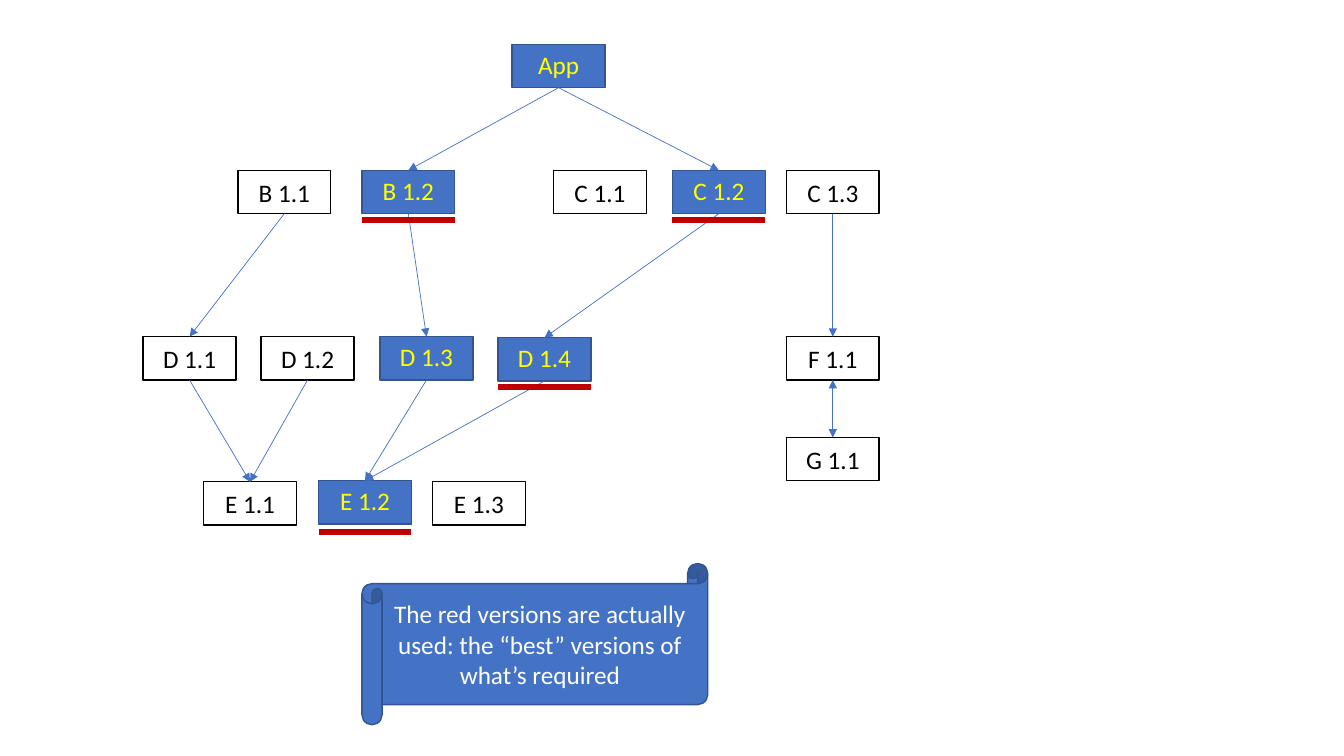
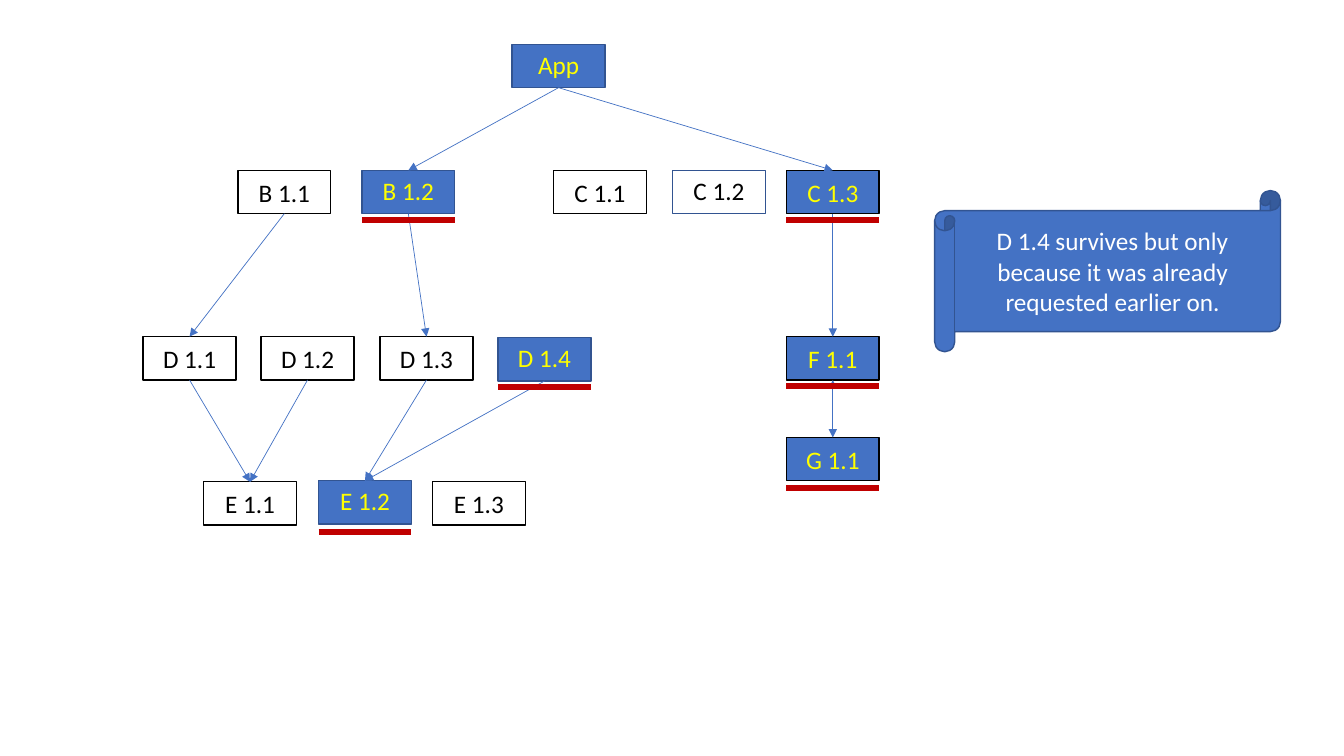
import pptx
import pptx.dml.color
import pptx.enum.shapes
import pptx.enum.text
import pptx.oxml
import pptx.util

Inches = pptx.util.Inches
Shapes = pptx.enum.shapes.MSO_SHAPE
Anchor = pptx.enum.text.MSO_ANCHOR

BLUE, EDGE, RED = "4472C4", "325491", "C00000"
WHITE, BLACK, YELLOW = "FFFFFF", "000000", "FFFF00"
BOX_WIDTH, BOX_HEIGHT = 0.92, 0.43
SCROLL_WIDTH, SCROLL_HEIGHT = 3.43, 1.6
TOP_SITE, BOTTOM_SITE = 0, 2

STYLES = {
    "plain": {"fill": WHITE, "line": BLACK, "ink": BLACK, "anchor": Anchor.MIDDLE},
    "used": {"fill": BLUE, "line": EDGE, "ink": YELLOW, "anchor": Anchor.TOP},
    "upgraded": {"fill": BLUE, "line": BLACK, "ink": YELLOW, "anchor": Anchor.MIDDLE},
    "replaced": {"fill": WHITE, "line": EDGE, "ink": BLACK, "anchor": Anchor.TOP},
    "note": {"fill": BLUE, "line": EDGE, "ink": WHITE, "anchor": Anchor.MIDDLE},
}

# Top of each row, then the left edge of each version in it
ROWS = [
    (0.44, {"App": 5.08}),
    (1.69, {"B 1.1": 2.36, "B 1.2": 3.59, "C 1.1": 5.49, "C 1.2": 6.67, "C 1.3": 7.8}),
    (3.34, {"D 1.1": 1.42, "D 1.2": 2.59, "D 1.3": 3.77, "F 1.1": 7.8}),
    (3.35, {"D 1.4": 4.94}),
    (4.34, {"G 1.1": 7.8}),
    (4.77, {"E 1.2": 3.16}),
    (4.78, {"E 1.1": 2.02, "E 1.3": 4.29}),
]
POSITIONS = {name: (left, top) for top, row in ROWS for name, left in row.items()}

SHARED_LINKS = [
    ("App", "B 1.2"), ("B 1.1", "D 1.1"), ("B 1.2", "D 1.3"),
    ("D 1.1", "E 1.1"), ("D 1.2", "E 1.1"), ("D 1.3", "E 1.2"),
    ("D 1.4", "E 1.2"), ("C 1.3", "F 1.1"), ("F 1.1", "G 1.1"),
]
TWO_WAY = {("F 1.1", "G 1.1")}
UNDERLINE_GAPS = {"E 1.2": 0.08, "G 1.1": 0.07}

GRAPHS = [
    {
        "styles": {name: "used" for name in ("App", "B 1.2", "C 1.2", "D 1.3", "D 1.4", "E 1.2")},
        "links": [("App", "C 1.2"), ("C 1.2", "D 1.4")],
        "underlined": ["B 1.2", "D 1.4", "C 1.2", "E 1.2"],
        "note": "The red versions are actually used: the “best” versions of what’s required",
        "note_at": (3.59, 5.59),
    },
    {
        "styles": {
            **{name: "used" for name in ("App", "B 1.2", "D 1.4", "E 1.2")},
            **{name: "upgraded" for name in ("C 1.3", "F 1.1", "G 1.1")},
            "C 1.2": "replaced",
        },
        "links": [("App", "C 1.3")],
        "underlined": ["B 1.2", "D 1.4", "C 1.3", "E 1.2", "F 1.1", "G 1.1"],
        "note": "D 1.4 survives but only because it was already requested earlier on.",
        "note_at": (9.27, 1.89),
    },
]


def color(value):
    """Turn a hex string into a colour."""
    return pptx.dml.color.RGBColor.from_string(value)


def set_all(target, values):
    """Set every attribute named in a dict."""
    for name, value in values.items():
        setattr(target, name, value)


def add_label(page, kind, place, size, text, style):
    """Add a filled shape with centred text."""
    shape = page.shapes.add_shape(kind, *map(Inches, place + size))
    shape.shadow.inherit = False
    shape.fill.solid()
    shape.fill.fore_color.rgb = color(style["fill"])
    shape.line.color.rgb = color(style["line"])
    shape.line.width = pptx.util.Pt(1)
    set_all(shape.text_frame, {"word_wrap": True, "vertical_anchor": style["anchor"]})
    para = shape.text_frame.paragraphs[0]
    para.alignment = pptx.enum.text.PP_ALIGN.CENTER
    span = para.add_run()
    span.text = text
    set_all(span.font, {"name": "Calibri", "size": pptx.util.Pt(18)})
    span.font.color.rgb = color(style["ink"])
    return shape


def add_line(page, start, end, ink, width):
    """Add a straight line without a shadow."""
    line = page.shapes.add_connector(
        pptx.enum.shapes.MSO_CONNECTOR.STRAIGHT, *map(Inches, start + end))
    line.line.color.rgb = color(ink)
    line.line.width = pptx.util.Pt(width)
    properties = line._element.spPr
    properties.append(properties.makeelement(pptx.oxml.ns.qn("a:effectLst"), {}))
    return line


def add_link(page, upper, lower, two_way):
    """Join two boxes with an arrow that stays attached to them."""
    link = add_line(page, (0, 0), (0, 0), BLUE, 0.5)
    link.begin_connect(upper, BOTTOM_SITE)
    link.end_connect(lower, TOP_SITE)
    outline = link.line._get_or_add_ln()
    for end in ["headEnd", "tailEnd"] if two_way else ["tailEnd"]:
        tag = pptx.oxml.ns.qn("a:" + end)
        outline.append(outline.makeelement(tag, {"type": "triangle"}))


def add_underline(page, name):
    """Mark a version with a thick red line below its box."""
    left, top = POSITIONS[name]
    level = top + BOX_HEIGHT + UNDERLINE_GAPS.get(name, 0.06)
    add_line(page, (left, level), (left + BOX_WIDTH, level), RED, 4.25)


def add_graph(deck, graph):
    """Add a slide with one dependency graph and its note."""
    page = deck.slides.add_slide(deck.slide_layouts.get_by_name("Blank"))
    boxes = {}
    for name, place in POSITIONS.items():
        style = STYLES[graph["styles"].get(name, "plain")]
        boxes[name] = add_label(
            page, Shapes.RECTANGLE, place, (BOX_WIDTH, BOX_HEIGHT), name, style)
    for upper, lower in SHARED_LINKS + graph["links"]:
        add_link(page, boxes[upper], boxes[lower], (upper, lower) in TWO_WAY)
    for name in graph["underlined"]:
        add_underline(page, name)
    add_label(page, Shapes.HORIZONTAL_SCROLL, graph["note_at"],
              (SCROLL_WIDTH, SCROLL_HEIGHT), graph["note"], STYLES["note"])


def main():
    """Build and save the deck."""
    deck = pptx.Presentation()
    set_all(deck, {"slide_width": Inches(13.33), "slide_height": Inches(7.5)})
    for graph in GRAPHS:
        add_graph(deck, graph)
    deck.save("out.pptx")


main()
